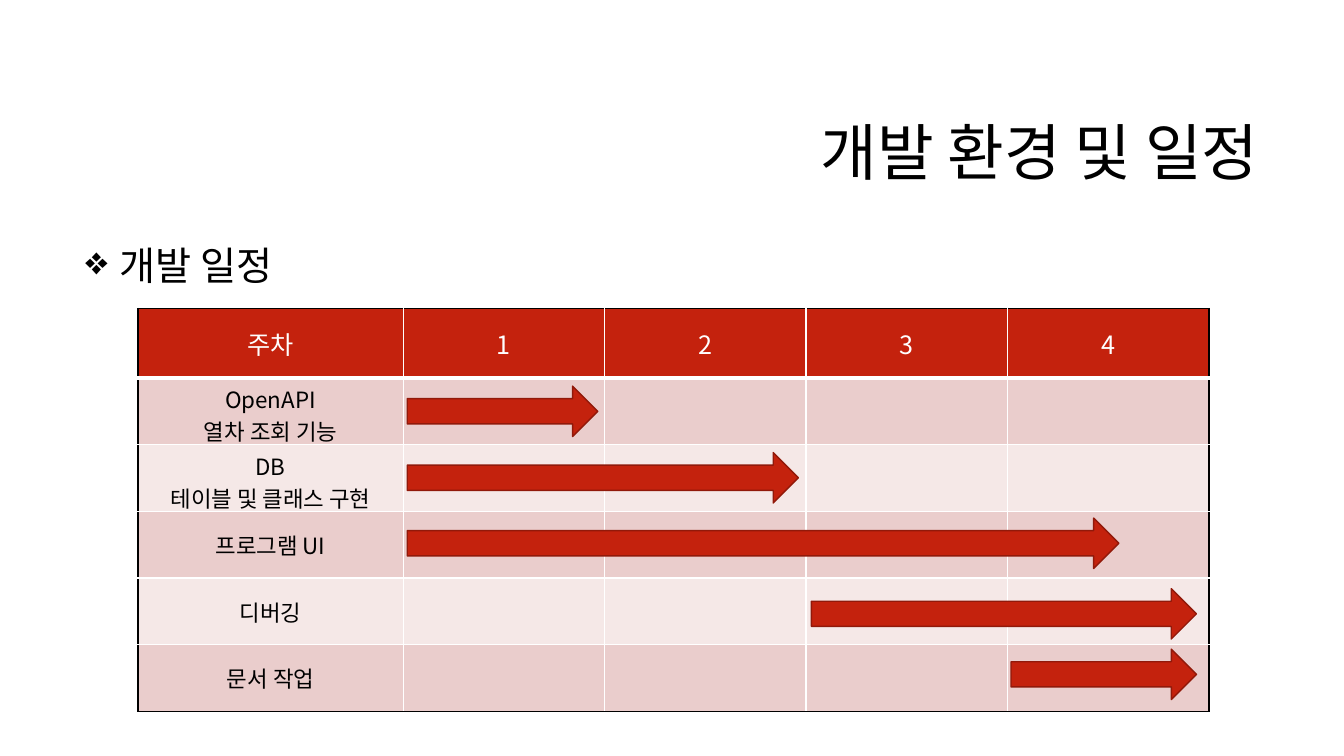
from lxml.etree import SubElement
from pptx import Presentation
from pptx.dml.color import RGBColor
from pptx.enum.shapes import MSO_SHAPE
from pptx.enum.text import MSO_ANCHOR, PP_ALIGN
from pptx.oxml.ns import qn
from pptx.util import Pt

RED = RGBColor(0xC4, 0x22, 0x0D)
DARK = RGBColor(0x91, 0x19, 0x0A)
ROSE = RGBColor(0xEA, 0xCD, 0xCC)
PALE = RGBColor(0xF5, 0xE8, 0xE7)
BLACK = RGBColor(0, 0, 0)
WHITE = RGBColor(255, 255, 255)
FONT = "Noto Sans CJK KR"

TASKS = ["OpenAPI\n열차 조회 기능", "DB\n테이블 및 클래스 구현",
         "프로그램 UI", "디버깅", "문서 작업"]
WEEKS = ["1", "2", "3", "4"]

# Left, top and width of each schedule arrow
BARS = [(290.9, 275.8, 136.1), (290.9, 323.3, 279.4), (290.9, 370.1, 508.3),
        (579.6, 420.5, 275), (722.2, 463.7, 132.5)]


def write(frame, text, size=18, color=BLACK, align=PP_ALIGN.LEFT,
          space=None, before=None, bullet=None, indent=18):
    """Fill a text frame, one paragraph for each line of text."""
    for i, line in enumerate(text.split("\n")):
        para = frame.add_paragraph() if i else frame.paragraphs[0]
        para.alignment = align
        if space:
            para.line_spacing = space
        if before:
            para.space_before = Pt(before)
        if bullet:
            props = para._p.get_or_add_pPr()
            props.set("marL", str(Pt(indent)))
            props.set("indent", str(-Pt(indent)))
            SubElement(props, qn("a:buChar"), char=bullet)
        run = para.add_run()
        run.text = line
        run.font.size = Pt(size)
        run.font.name = FONT
        run.font.color.rgb = color
        SubElement(run._r.get_or_add_rPr(), qn("a:ea"), typeface=FONT)


class Deck:
    def __init__(self, wide, high):
        self.show = Presentation()
        self.show.slide_width = Pt(wide)
        self.show.slide_height = Pt(high)
        self.slide = self.show.slides.add_slide(self.show.slide_layouts[6])

    def text(self, box, text, anchor=MSO_ANCHOR.TOP, **style):
        frame = self.slide.shapes.add_textbox(*map(Pt, box)).text_frame
        frame.word_wrap = True
        frame.vertical_anchor = anchor
        write(frame, text, **style)

    def arrow(self, left, top, width, height=36):
        shape = self.slide.shapes.add_shape(
            MSO_SHAPE.RIGHT_ARROW, Pt(left), Pt(top), Pt(width), Pt(height))
        shape.shadow.inherit = False
        shape.fill.solid()
        shape.fill.fore_color.rgb = RED
        shape.line.color.rgb = DARK
        shape.line.width = Pt(1)

    def edge(self, cell, side, color, width):
        line = SubElement(cell._tc.get_or_add_tcPr(), qn("a:ln" + side),
                          w=str(Pt(width)))
        fill = SubElement(line, qn("a:solidFill"))
        SubElement(fill, qn("a:srgbClr"), val=str(color))

    def table(self, left, top, cols, rows, data):
        grid = self.slide.shapes.add_table(
            len(rows), len(cols), Pt(left), Pt(top),
            Pt(sum(cols)), Pt(sum(rows))).table
        for col, width in zip(grid.columns, cols):
            col.width = Pt(width)
        for row, height in zip(grid.rows, rows):
            row.height = Pt(height)
        for r, line in enumerate(data):
            for c, text in enumerate(line):
                cell = grid.cell(r, c)
                # Black outer frame, white inner rules
                outer = {"L": c == 0, "R": c == len(cols) - 1,
                         "T": r == 0, "B": r == len(rows) - 1}
                for side, black in outer.items():
                    thick = 3 if r == 0 and side == "B" else 1
                    self.edge(cell, side, BLACK if black else WHITE, thick)
                cell.fill.solid()
                cell.fill.fore_color.rgb = (
                    RED if r == 0 else ROSE if r % 2 else PALE)
                cell.vertical_anchor = MSO_ANCHOR.MIDDLE
                if text:
                    write(cell.text_frame, text, align=PP_ALIGN.CENTER,
                          size=16 if r else 18, color=BLACK if r else WHITE)


def main():
    deck = Deck(960, 540)

    # Title
    deck.text((228.2, 60.5, 678.2, 101.5), "개발 환경 및 일정",
              anchor=MSO_ANCHOR.MIDDLE, size=44, align=PP_ALIGN.RIGHT,
              space=0.9)

    # Schedule table
    data = [["주차"] + WEEKS] + [[task] + [""] * len(WEEKS) for task in TASKS]
    deck.table(98.6, 220.3, [189.4] + [143.9] * len(WEEKS),
               [49.5] + [47.7] * len(TASKS), data)

    # Schedule arrows
    for bar in BARS:
        deck.arrow(*bar)

    # Section heading
    deck.text((54, 172.8, 851.8, 316.8), " 개발 일정", size=28, space=0.9,
              before=10, bullet="❖")

    deck.show.save("out.pptx")


if __name__ == "__main__":
    main()
